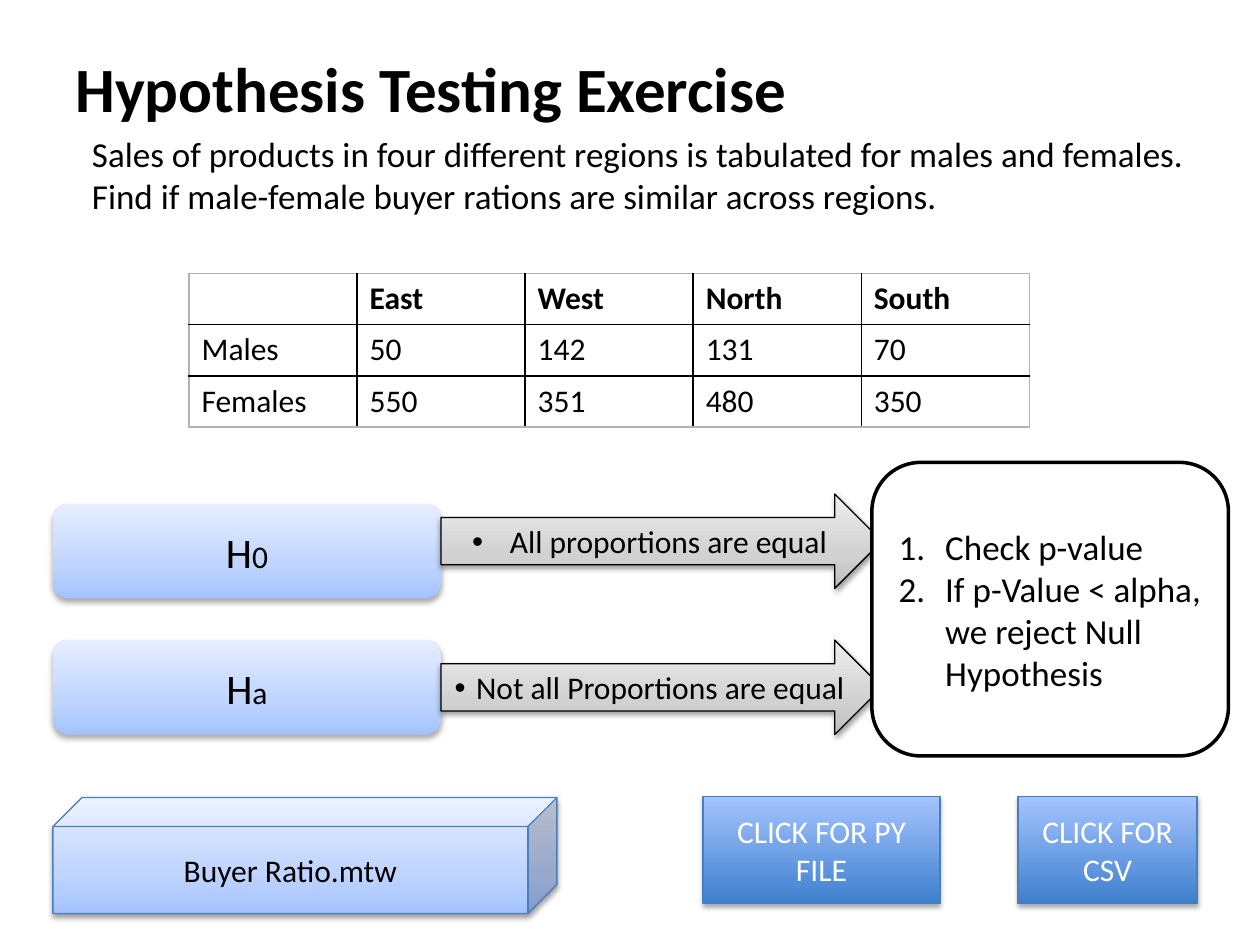
"""Build the hypothesis testing exercise slide."""
from dataclasses import dataclass
from typing import Optional

from lxml.etree import SubElement
from pptx import Presentation
from pptx.dml.color import RGBColor
from pptx.enum.shapes import MSO_SHAPE
from pptx.enum.text import MSO_ANCHOR, PP_ALIGN
from pptx.oxml.ns import qn
from pptx.util import Inches, Pt

BLACK, WHITE, EDGE = "000000", "FFFFFF", "4B7EBC"
PALE_BLUE = ((0, "A4C4FF"), (35, "BFD4FF"), (100, "E6EEFF"))
GREY = ((0, "BDBDBD"), (35, "D1D1D1"), (100, "EEEEEE"))
STRONG_BLUE = ((0, "3F80CE"), (100, "A4C4FF"))


@dataclass
class Shadow:
    opacity: int
    blur: float
    distance: float


@dataclass
class Block:
    kind: MSO_SHAPE
    box: tuple
    paragraphs: tuple
    stops: tuple = ()
    shadow: Optional[Shadow] = None
    line: str = ""
    line_width: float = 0.75
    size: int = 18
    color: str = BLACK
    align: PP_ALIGN = PP_ALIGN.CENTER
    bullet: str = ""
    indent: float = 0


def rgb(value: str) -> RGBColor:
    return RGBColor.from_string(value)


def add_color(parent, value: str):
    return SubElement(parent, qn("a:srgbClr"), val=value)


def style_run(run, size: int, color: str = BLACK, bold: bool = False) -> None:
    run.font.name = "Calibri"
    run.font.size = Pt(size)
    run.font.bold = bold
    run.font.color.rgb = rgb(color)


def add_text(slide, box: tuple, text: str, size: int, bold: bool = False,
             anchor=MSO_ANCHOR.TOP, indent: float = 0) -> None:
    frame = slide.shapes.add_textbox(*map(Inches, box)).text_frame
    frame.word_wrap = True
    frame.vertical_anchor = anchor
    frame.margin_left = Inches(0.1 + indent)
    frame.text = text
    style_run(frame.paragraphs[0].runs[0], size, bold=bold)


def set_gradient(shape, stops: tuple) -> None:
    shape.fill.gradient()
    shape.fill.gradient_angle = 90
    stop_list = shape._element.spPr.find(f".//{qn('a:gsLst')}")
    for old_stop in list(stop_list):
        stop_list.remove(old_stop)
    for position, color in stops:
        add_color(SubElement(stop_list, qn("a:gs"), pos=str(position * 1000)), color)


def set_shadow(shape, shadow: Shadow) -> None:
    effects = shape._element.spPr.find(qn("a:effectLst"))
    outer = SubElement(effects, qn("a:outerShdw"), blurRad=str(Pt(shadow.blur)),
                       dist=str(Pt(shadow.distance)), dir="5400000", rotWithShape="0")
    SubElement(add_color(outer, BLACK), qn("a:alpha"), val=str(shadow.opacity * 1000))


def set_bullet(paragraph, bullet: str, indent: float) -> None:
    properties = paragraph._p.get_or_add_pPr()
    properties.set("marL", str(Inches(indent)))
    properties.set("indent", str(-Inches(indent)))
    if bullet == "1.":
        SubElement(properties, qn("a:buAutoNum"), type="arabicPeriod")
    else:
        SubElement(properties, qn("a:buFont"), typeface="Arial")
        SubElement(properties, qn("a:buChar"), char=bullet)


def add_block(slide, block: Block) -> None:
    shape = slide.shapes.add_shape(block.kind, *map(Inches, block.box))
    if block.stops:
        set_gradient(shape, block.stops)
    else:
        shape.fill.solid()
        shape.fill.fore_color.rgb = rgb(WHITE)
    if block.line:
        shape.line.color.rgb = rgb(block.line)
        shape.line.width = Pt(block.line_width)
    else:
        shape.line.fill.background()
    shape.shadow.inherit = False
    if block.shadow:
        set_shadow(shape, block.shadow)
    frame = shape.text_frame
    frame.word_wrap = True
    frame.vertical_anchor = MSO_ANCHOR.MIDDLE
    frame.text = "\n".join(block.paragraphs)
    for paragraph in frame.paragraphs:
        paragraph.alignment = block.align
        style_run(paragraph.runs[0], block.size, block.color)
        if block.bullet:
            set_bullet(paragraph, block.bullet, block.indent)


def add_hypothesis(slide, symbol: str, top: float) -> None:
    block = Block(MSO_SHAPE.ROUNDED_RECTANGLE, (0.42, top, 3.08, 0.75), ("H",),
                  PALE_BLUE, Shadow(32, 3.5, 2.2), size=24)
    add_block(slide, block)
    mark = slide.shapes[-1].text_frame.paragraphs[0].add_run()
    mark.text = symbol
    style_run(mark, 18)


def set_borders(cell, colors: dict) -> None:
    properties = cell._tc.get_or_add_tcPr()
    for position, (side, color) in enumerate(colors.items()):
        border = properties.makeelement(qn(f"a:{side}"), {"w": str(Pt(1))})
        add_color(SubElement(border, qn("a:solidFill")), color)
        properties.insert(position, border)


def add_sales(slide, rows: tuple) -> None:
    last_row, last_column = len(rows) - 1, len(rows[0]) - 1
    sales = slide.shapes.add_table(last_row + 1, last_column + 1, Inches(1.5),
                                   Inches(2.17), Inches(6.67), Inches(1.22)).table
    for r, row in enumerate(rows):
        for c, value in enumerate(row):
            cell = sales.cell(r, c)
            cell.fill.solid()
            cell.fill.fore_color.rgb = rgb(WHITE)
            cell.text = value
            for run in cell.text_frame.paragraphs[0].runs:
                style_run(run, 18, bold=r == 0)
            outer = {"lnL": c == 0, "lnR": c == last_column,
                     "lnT": r == 0, "lnB": r == last_row}
            set_borders(cell, {side: "B2B2B2" if edge else BLACK
                               for side, edge in outer.items()})


def main() -> None:
    deck = Presentation()
    deck.slide_width, deck.slide_height = Inches(10), Inches(7.5)
    slide = deck.slides.add_slide(deck.slide_layouts[6])
    add_text(slide, (0.5, 0.3, 9, 0.78), "Hypothesis Testing Exercise", 36, True,
             MSO_ANCHOR.MIDDLE)
    add_text(slide, (0.25, 1, 9.58, 0.8),
             "Sales of products in four different regions is tabulated for males and "
             "females. Find if male-female buyer rations are similar across regions.",
             20, indent=0.38)
    add_sales(slide, (("", "East", "West", "North", "South"),
                      ("Males", "50", "142", "131", "70"),
                      ("Females", "550", "351", "480", "350")))
    for symbol, top in (("0", 4), ("a", 5.08)):
        add_hypothesis(slide, symbol, top)
    for claim, top, indent in (("All proportions are equal", 3.92, 0.3),
                               ("Not all Proportions are equal", 5.08, 0.17)):
        add_block(slide, Block(MSO_SHAPE.RIGHT_ARROW, (3.5, top, 3.5, 0.75), (claim,),
                               GREY, Shadow(38, 3.1, 1.6), BLACK,
                               bullet="•", indent=indent))
    add_block(slide, Block(MSO_SHAPE.ROUNDED_RECTANGLE, (6.92, 3.67, 2.83, 2.33),
                           ("Check p-value",
                            "If p-Value < alpha, we reject Null Hypothesis"),
                           line=BLACK, line_width=2, size=20, align=PP_ALIGN.LEFT,
                           bullet="1.", indent=0.37))
    add_block(slide, Block(MSO_SHAPE.CUBE, (0.42, 6.33, 4, 0.92), ("Buyer Ratio.mtw",),
                           PALE_BLUE, Shadow(38, 3.1, 1.6), EDGE))
    for label, left, width in (("CLICK FOR PY FILE", 5.58, 1.88),
                               ("CLICK FOR CSV", 8.08, 1.42)):
        add_block(slide, Block(MSO_SHAPE.RECTANGLE, (left, 6.32, width, 0.85), (label,),
                               STRONG_BLUE, Shadow(35, 3.1, 1.8), EDGE, color=WHITE))
    deck.save("out.pptx")


main()
